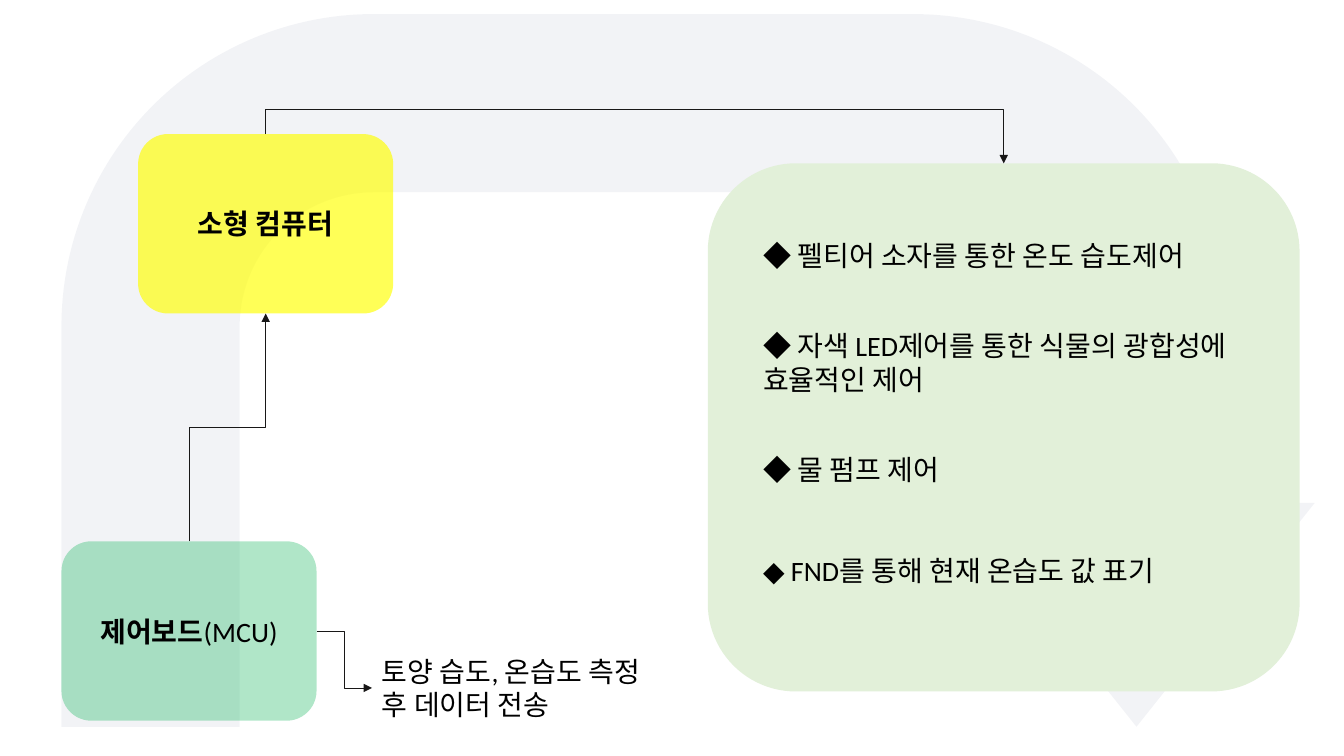
from dataclasses import dataclass

from lxml.etree import SubElement
from pptx import Presentation
from pptx.dml.color import RGBColor
from pptx.enum.shapes import MSO_CONNECTOR, MSO_SHAPE
from pptx.enum.text import MSO_ANCHOR, MSO_AUTO_SIZE, PP_ALIGN
from pptx.oxml.ns import qn
from pptx.util import Inches, Pt


@dataclass(frozen=True)
class Theme:
    font: str = "Calibri"
    size: int = 20
    text: str = "000000"
    arrow: str = "002060"
    computer: str = "FFFF00"
    board: str = "00B050"
    panel: str = "E2F0D9"
    line: str = "181717"
    line_width: float = 0.5


THEME = Theme()
TOP, LEFT, BOTTOM, RIGHT = range(4)


def add_block(slide, preset, box, color, opacity=100):
    """Filled shape without outline; opacity in percent."""
    block = slide.shapes.add_shape(preset, *map(Inches, box))
    block.shadow.inherit = False
    block.line.fill.background()
    block.fill.solid()
    block.fill.fore_color.rgb = RGBColor.from_string(color)
    if opacity < 100:
        tint = block._element.spPr.find(qn("a:solidFill"))[0]
        SubElement(tint, qn("a:alpha"), val=str(opacity * 1000))
    return block


def add_run(paragraph, text, bold=False):
    run = paragraph.add_run()
    run.text = text
    run.font.name = THEME.font
    run.font.size = Pt(THEME.size)
    run.font.bold = bold
    run.font.color.rgb = RGBColor.from_string(THEME.text)


def add_device(slide, box, color, opacity, name, model=""):
    device = add_block(slide, MSO_SHAPE.ROUNDED_RECTANGLE, box, color, opacity)
    device.text_frame.vertical_anchor = MSO_ANCHOR.MIDDLE
    label = device.text_frame.paragraphs[0]
    label.alignment = PP_ALIGN.CENTER
    add_run(label, name, bold=True)
    if model:
        add_run(label, model)
    return device


def add_note(slide, box, text):
    note = slide.shapes.add_textbox(*map(Inches, box))
    note.text_frame.word_wrap = True
    note.text_frame.auto_size = MSO_AUTO_SIZE.SHAPE_TO_FIT_TEXT
    add_run(note.text_frame.paragraphs[0], text)
    return note


def add_control_panel(slide, box):
    """Green panel with its list of control tasks, each a drop below its top."""
    left, top, width, _ = box
    panel = add_block(slide, MSO_SHAPE.ROUNDED_RECTANGLE, box, THEME.panel)
    tasks = [
        (0.70, 0.44, "◆ 펠티어 소자를 통한 온도 습도제어"),
        (1.59, 0.77, "◆ 자색 LED제어를 통한 식물의 광합성에 효율적인 제어"),
        (2.82, 0.44, "◆ 물 펌프 제어"),
        (3.82, 0.44, "◆ FND를 통해 현재 온습도 값 표기"),
    ]
    for drop, height, task in tasks:
        add_note(slide, (left + 0.45, top + drop, width - 0.66, height), task)
    return panel


def add_elbow(slide, source, source_side, target, target_side, bend=0.5):
    """Elbow arrow between two shapes; bend is the share of the way to the turn."""
    elbow = slide.shapes.add_connector(MSO_CONNECTOR.ELBOW, 0, 0, 0, 0)
    elbow.begin_connect(source, source_side)
    elbow.end_connect(target, target_side)
    properties = elbow._element.spPr

    # Leaving upwards: the elbow is turned by 270 degrees about its centre
    if source_side == TOP:
        across, rise = elbow.width, elbow.height
        center_x, center_y = elbow.left + across // 2, elbow.top + rise // 2
        descending = elbow.end_y > elbow.begin_y
        elbow.left, elbow.top = center_x - rise // 2, center_y - across // 2
        elbow.width, elbow.height = rise, across
        transform = properties.find(qn("a:xfrm"))
        transform.set("rot", str(270 * 60000))
        transform.set("flipH", str(int(descending)))
        transform.set("flipV", "0")

    guides = properties.find(qn("a:prstGeom")).find(qn("a:avLst"))
    SubElement(guides, qn("a:gd"), name="adj1", fmla=f"val {round(bend * 100000)}")
    elbow.line.color.rgb = RGBColor.from_string(THEME.line)
    elbow.line.width = Pt(THEME.line_width)
    SubElement(properties.find(qn("a:ln")), qn("a:tailEnd"), type="triangle")
    SubElement(properties, qn("a:effectLst"))


def add_system_slide(deck):
    slide = deck.slides.add_slide(deck.slide_layouts[6])

    # Background arrow
    flow = add_block(slide, MSO_SHAPE.U_TURN_ARROW, (0.61, 0.14, 12.43, 7.07),
                     THEME.arrow, 5)
    for index, value in enumerate((0.25, 0.25, 0.314, 0.438, 1)):
        flow.adjustments[index] = value

    # Devices, panel and measurement note
    computer = add_device(slide, (1.37, 1.33, 2.53, 1.78), THEME.computer, 66,
                          "소형 컴퓨터")
    panel = add_control_panel(slide, (7.02, 1.62, 5.87, 5.24))
    board = add_device(slide, (0.61, 5.37, 2.53, 1.78), THEME.board, 31,
                       "제어보드", "(MCU)")
    measurement = add_note(slide, (3.69, 6.44, 2.97, 0.77),
                           "토양 습도, 온습도 측정 후 데이터 전송")

    # Data flow
    add_elbow(slide, computer, TOP, panel, TOP, bend=-0.86)
    add_elbow(slide, board, TOP, computer, BOTTOM)
    add_elbow(slide, board, RIGHT, measurement, LEFT)


def main():
    deck = Presentation()
    deck.slide_width, deck.slide_height = Inches(13.33), Inches(7.5)
    add_system_slide(deck)
    deck.save("out.pptx")


if __name__ == "__main__":
    main()
